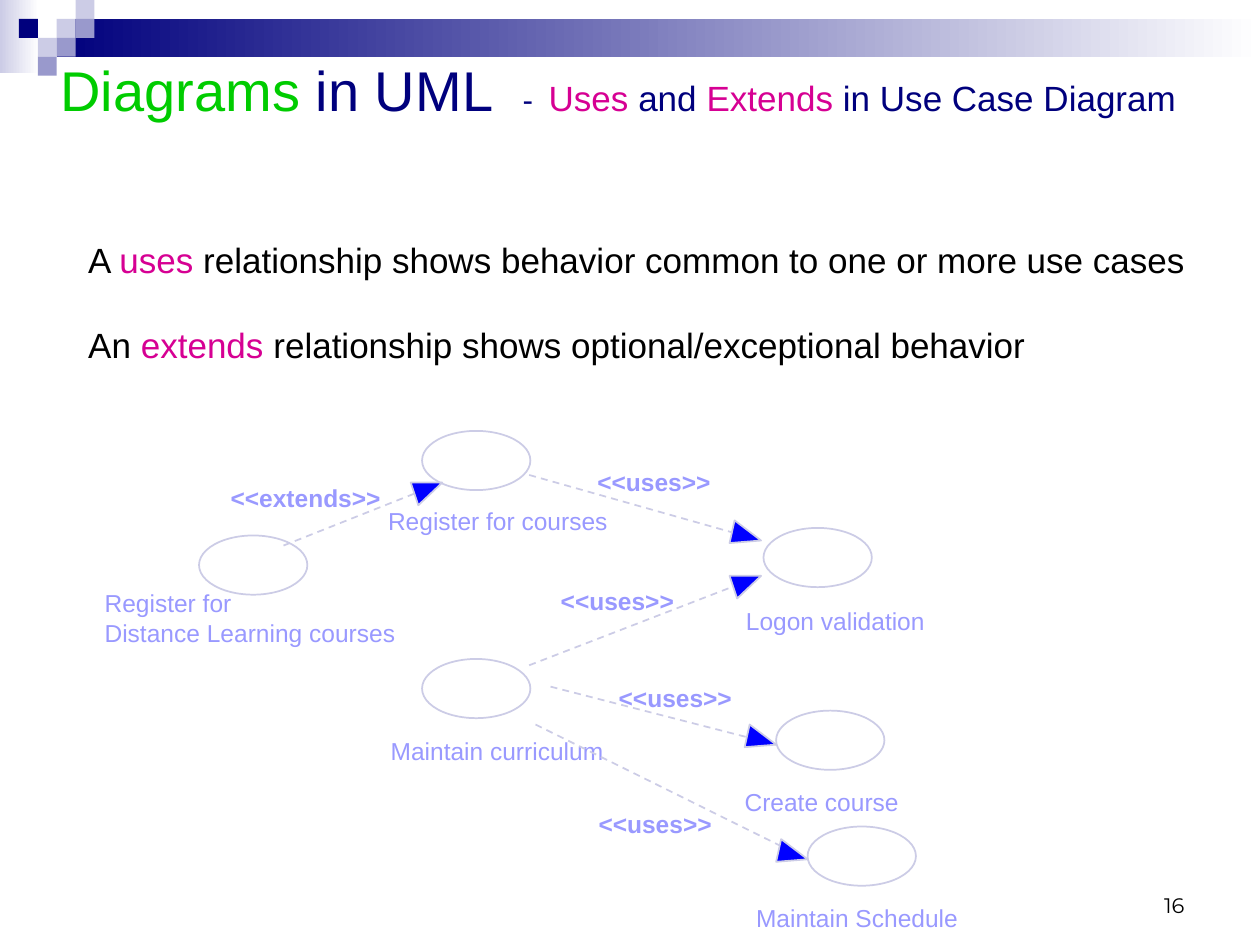
from lxml import etree
from pptx import Presentation
from pptx.dml.color import RGBColor
from pptx.enum.dml import MSO_LINE
from pptx.enum.shapes import MSO_CONNECTOR, MSO_SHAPE
from pptx.enum.text import MSO_ANCHOR, PP_ALIGN
from pptx.oxml.ns import qn
from pptx.util import Inches, Pt

RECT, OVAL = MSO_SHAPE.RECTANGLE, MSO_SHAPE.OVAL
STRAIGHT, DASH = MSO_CONNECTOR.STRAIGHT, MSO_LINE.DASH
TOP, MIDDLE, BOTTOM = MSO_ANCHOR.TOP, MSO_ANCHOR.MIDDLE, MSO_ANCHOR.BOTTOM
LEFT, RIGHT = PP_ALIGN.LEFT, PP_ALIGN.RIGHT

COLORS = {
    "white": "FFFFFF", "black": "000000", "navy": "00007D", "green": "00CC00",
    "pink": "D60093", "pale": "CCCCE6", "mid": "9999CC", "label": "9999FF",
    "arrow": "0000FF",
}
TITLE_ONLY = 5
OVAL_SIZE = (0.86, 0.47)
SQUARE = 0.15

# Header squares: column, row, colour
SQUARES = [
    (2, 1, "pale"), (3, 0, "pale"), (3, 1, "mid"), (1, 2, "pale"),
    (0, 1, "navy"), (2, 2, "mid"), (1, 3, "mid"),
]

# Use cases: oval position, caption position, caption width, caption lines
USE_CASES = [
    ((2.55, 0.02), (2.28, 0.62), 1.8, ["Register for courses"]),
    ((5.26, 0.79), (5.12, 1.41), 1.5, ["Logon validation"]),
    ((2.55, 1.83), (2.30, 2.44), 1.75, ["Maintain curriculum"]),
    ((0.78, 0.85), (0.03, 1.27), 2.75, ["Register for", "Distance Learning courses"]),
    ((5.36, 2.24), (5.11, 2.85), 1.3, ["Create course"]),
    ((5.61, 3.16), (5.20, 3.77), 1.65, ["Maintain Schedule"]),
]

# Relationships: start, tip, label position, label width, label
RELATIONS = [
    ((3.40, 0.37), (5.24, 0.89), (3.94, 0.31), 0.95, "<<uses>>"),
    ((3.40, 1.88), (5.24, 1.17), (3.65, 1.25), 0.95, "<<uses>>"),
    ((1.45, 0.93), (2.71, 0.43), (1.03, 0.43), 1.25, "<<extends>>"),
    ((3.57, 2.05), (5.36, 2.51), (4.11, 2.02), 0.95, "<<uses>>"),
    ((3.45, 2.35), (5.61, 3.42), (3.95, 3.02), 0.95, "<<uses>>"),
]
# Back corners of an arrowhead, relative to its tip
RISING_HEAD = [(-0.19, 0.18), (-0.25, 0)]
FALLING_HEAD = [(-0.21, -0.16), (-0.25, 0.02)]


def color(name):
    return RGBColor.from_string(COLORS[name])


def add_span(para, text, size, tone, bold=False, font="Arial"):
    span = para.add_run()
    span.text = text
    span.font.name = font
    span.font.size = Pt(size)
    span.font.bold = bold
    span.font.color.rgb = color(tone)


def set_frame(frame, insets=(0, 0), anchor=TOP):
    frame.word_wrap = True
    frame.vertical_anchor = anchor
    frame.margin_left = frame.margin_right = Inches(insets[0])
    frame.margin_top = frame.margin_bottom = Inches(insets[1])
    return frame


def add_text(page, box, **options):
    shape = page.shapes.add_textbox(*map(Inches, box))
    return set_frame(shape.text_frame, **options)


def outline(shape):
    shape.shadow.inherit = False
    shape.line.color.rgb = color("pale")
    shape.line.width = Pt(1)


def add_bar(page, box, tone, fade=False):
    bar = page.shapes.add_shape(RECT, *map(Inches, box))
    bar.shadow.inherit = False
    bar.line.fill.background()
    if fade:
        bar.fill.gradient()
        bar.fill.gradient_angle = 0
        for stop, name in zip(bar.fill.gradient_stops, (tone, "white")):
            stop.color.rgb = color(name)
    else:
        bar.fill.solid()
        bar.fill.fore_color.rgb = color(tone)


def add_header(page, box):
    left, top, width, height = box
    add_bar(page, (left, top, 0.31, 0.58), "pale", fade=True)
    add_bar(page, (left + 0.45, top + SQUARE, width - 0.45, 0.3), "navy", fade=True)
    for column, row, tone in SQUARES:
        place = (left + (column + 1) * SQUARE, top + row * SQUARE)
        add_bar(page, (*place, SQUARE, SQUARE), tone)


def add_title(page, box):
    title = page.shapes.title
    title.left, title.top, title.width, title.height = map(Inches, box)
    para = set_frame(title.text_frame, (0.06, 0.02), MIDDLE).paragraphs[0]
    para.alignment = LEFT
    for text, size, tone in [
        ("Diagrams", 32, "green"), (" in UML  ", 32, "navy"), ("-", 18, "navy"),
        (" ", 32, "navy"), ("Uses", 20, "pink"), (" and ", 20, "navy"),
        ("Extends", 20, "pink"), (" in Use Case Diagram", 20, "navy"),
    ]:
        add_span(para, text, size, tone)


def add_definitions(page, box):
    frame = add_text(page, box, insets=(0.12, 0.06))
    sentences = [
        ("A ", "uses", " relationship shows behavior common to one or more use cases"),
        ("An ", "extends", " relationship shows optional/exceptional behavior"),
    ]
    for index, parts in enumerate(sentences):
        para = frame.add_paragraph() if index else frame.paragraphs[0]
        para.space_before = Pt(25 if index else 0)
        for text, tone in zip(parts, ("black", "pink", "black")):
            add_span(para, text, 20, tone)


def add_label(page, place, width, lines, bold=False):
    frame = add_text(page, (*place, width, 0.23 * len(lines)))
    for index, text in enumerate(lines):
        para = frame.add_paragraph() if index else frame.paragraphs[0]
        add_span(para, text, 14, "label", bold)


def add_relation(page, start, tip):
    line = page.shapes.add_connector(STRAIGHT, *map(Inches, (*start, *tip)))
    line.line.color.rgb = color("pale")
    line.line.width = Pt(1)
    line.line.dash_style = DASH
    etree.SubElement(line._element.spPr, qn("a:effectLst"))

    corners = RISING_HEAD if tip[1] < start[1] else FALLING_HEAD
    builder = page.shapes.build_freeform(*map(Inches, tip))
    builder.add_line_segments(
        [(Inches(tip[0] + x), Inches(tip[1] + y)) for x, y in corners], close=True)
    head = builder.convert_to_shape()
    outline(head)
    head.fill.solid()
    head.fill.fore_color.rgb = color("arrow")


def add_use_case_diagram(page, box):
    def shift(point):
        return box[0] + point[0], box[1] + point[1]

    # Ovals with their captions
    for place, caption_place, width, lines in USE_CASES:
        oval = page.shapes.add_shape(OVAL, *map(Inches, (*shift(place), *OVAL_SIZE)))
        oval.fill.background()
        outline(oval)
        add_label(page, shift(caption_place), width, lines)
    # Dashed arrows with their labels
    for start, tip, label_place, width, text in RELATIONS:
        add_relation(page, shift(start), shift(tip))
        add_label(page, shift(label_place), width, [text], bold=True)


def add_page_number(page, box):
    para = add_text(page, box, insets=(0.1, 0.05), anchor=BOTTOM).paragraphs[0]
    para.alignment = RIGHT
    add_span(para, "16", 12, "black", font="Montserrat")


def main():
    deck = Presentation()
    deck.slide_width, deck.slide_height = Inches(10), Inches(7.5)
    page = deck.slides.add_slide(deck.slide_layouts[TITLE_ONLY])
    add_header(page, (0, 0, 10, 0.6))
    add_title(page, (0.42, 0.42, 9.33, 0.58))
    add_definitions(page, (0.58, 1.83, 9.18, 1.17))
    add_use_case_diagram(page, (0.8, 3.4, 6.9, 4))
    add_page_number(page, (7.17, 6.83, 2.33, 0.5))
    deck.save("out.pptx")


if __name__ == "__main__":
    main()
